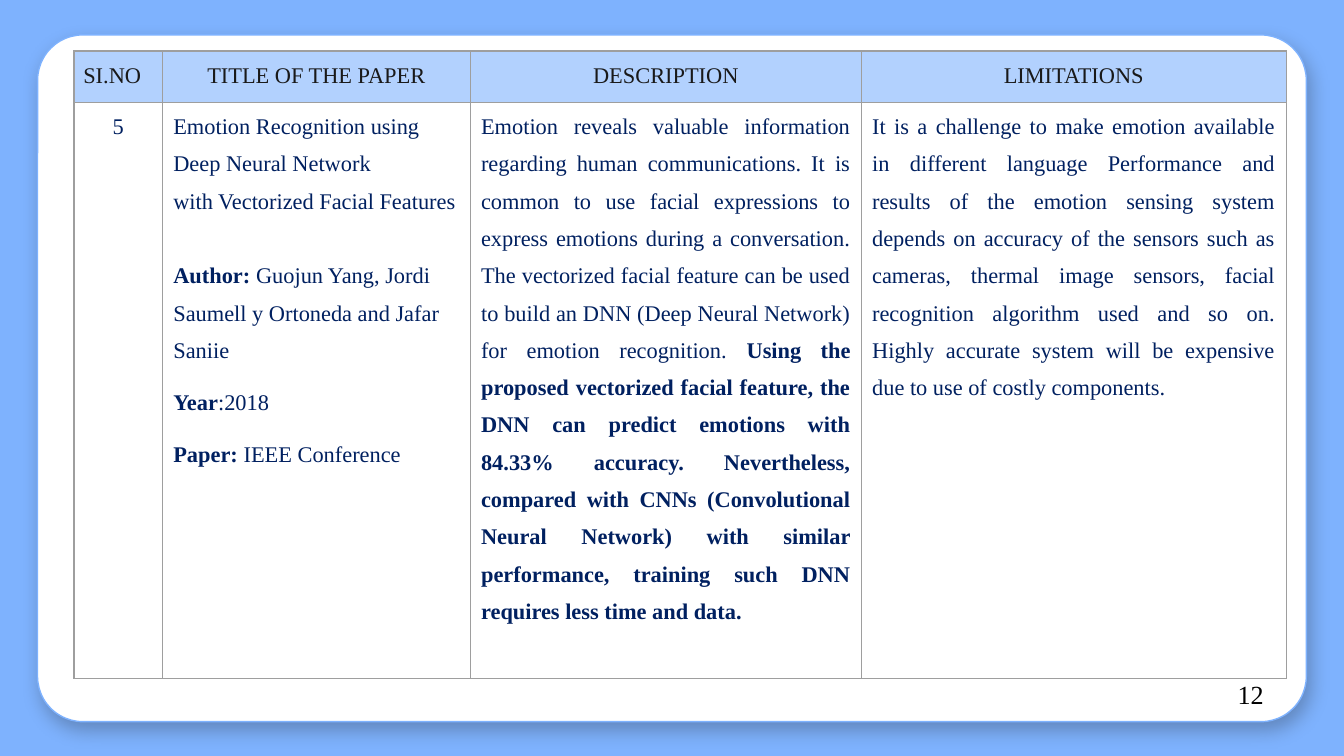
"""Build a literature survey slide with one paper in a four-column table."""
from lxml import etree
from pptx import Presentation
from pptx.dml.color import RGBColor
from pptx.enum.shapes import MSO_SHAPE
from pptx.enum.text import PP_ALIGN
from pptx.oxml import parse_xml
from pptx.oxml.ns import nsdecls, qn
from pptx.util import Inches, Pt


def color(hex_value):
    return RGBColor.from_string(hex_value)


def add_run(paragraph, text, size, hex_value, bold=False):
    run = paragraph.add_run()
    run.text = text
    run.font.name = "Times New Roman"
    run.font.size = Pt(size)
    run.font.bold = bold
    run.font.color.rgb = color(hex_value)


LEFT, CENTER, JUSTIFY = PP_ALIGN.LEFT, PP_ALIGN.CENTER, PP_ALIGN.JUSTIFY
BLUE, INK, NAVY, GRID = "7EB2FE", "191919", "002060", "9E9E9E"

headings = [
    ("SI.NO", JUSTIFY),
    ("TITLE OF THE PAPER", CENTER),
    ("DESCRIPTION", CENTER),
    ("LIMITATIONS", CENTER),
]
header_row = [[(align, 0, 8, [(text, False)])] for text, align in headings]

number = [(CENTER, 0, 8, [("5", False)])]
paper = [
    (LEFT, 0, 0, [("Emotion Recognition using Deep Neural Network", False)]),
    (LEFT, 0, 0, [("with Vectorized Facial Features", False)]),
    (LEFT, 20, 8, [("Author: ", True),
                   ("Guojun Yang, Jordi Saumell y Ortoneda and Jafar Saniie", False)]),
    (JUSTIFY, 0, 8, [("Year", True), (":2018", False)]),
    (JUSTIFY, 0, 8, [("Paper: ", True), ("IEEE Conference", False)]),
]
description = [(JUSTIFY, 0, 8, [
    ("Emotion reveals valuable information regarding human communications. "
     "It is common to use facial expressions to express emotions during a "
     "conversation. The vectorized facial feature can be used to build an DNN "
     "(Deep Neural Network) for emotion recognition. ", False),
    ("Using the proposed vectorized facial feature, the DNN can predict emotions "
     "with 84.33% accuracy. Nevertheless, compared with CNNs (Convolutional "
     "Neural Network) with similar performance, training such DNN requires less "
     "time and data.", True),
])]
limitations = [(JUSTIFY, 0, 8, [
    ("It is a challenge to make emotion available in different language "
     "Performance and results of the emotion sensing system depends on accuracy "
     "of the sensors such as cameras, thermal image sensors, facial recognition "
     "algorithm used and so on. Highly accurate system will be expensive due to "
     "use of costly components.", False),
])]
paper_row = [number, paper, description, limitations]

prs = Presentation()
prs.slide_width, prs.slide_height = Inches(10), Inches(10 * 9 / 16)
slide = prs.slides.add_slide(prs.slide_layouts[6])
slide.background.fill.solid()
slide.background.fill.fore_color.rgb = color(BLUE)

panel = slide.shapes.add_shape(
    MSO_SHAPE.ROUNDED_RECTANGLE, Inches(0.28), Inches(0.26), Inches(9.44), Inches(5.11))
panel.adjustments[0] = 0.066
panel.fill.solid()
panel.fill.fore_color.rgb = color("FFFFFF")
panel.line.color.rgb = color(BLUE)
panel.line.width = Pt(0.75)
panel.shadow.inherit = False
effects = panel.element.spPr.find(qn("a:effectLst"))
effects.append(parse_xml(
    f'<a:outerShdw {nsdecls("a")} blurRad="{Pt(10.1)}" dist="{Pt(4.5)}" '
    f'dir="{67 * 60000}" algn="ctr" rotWithShape="0"><a:srgbClr val="{INK}">'
    '<a:alpha val="27000"/></a:srgbClr></a:outerShdw>'))

survey = slide.shapes.add_table(
    2, 4, Inches(0.55), Inches(0.38), Inches(9.02), Inches(4.67)).table
survey.first_row = survey.horz_banding = False
for column, width in zip(survey.columns, [0.66, 2.29, 2.91, 3.16]):
    column.width = Inches(width)

row_styles = [
    (header_row, 0.38, "B2D1FE", INK, 0.07),
    (paper_row, 4.29, "FFFFFF", NAVY, 0.08),
]
for row, (contents, height, fill, ink, margin) in zip(survey.rows, row_styles):
    row.height = Inches(height)
    for cell, paragraphs in zip(row.cells, contents):
        cell.margin_left = cell.margin_right = Inches(margin)
        cell.margin_top = cell.margin_bottom = Inches(0)
        borders = cell._tc.get_or_add_tcPr()
        for side in ("lnL", "lnR", "lnT", "lnB"):
            border = etree.SubElement(borders, qn(f"a:{side}"), w=str(Pt(0.75)))
            stroke = etree.SubElement(border, qn("a:solidFill"))
            etree.SubElement(stroke, qn("a:srgbClr"), val=GRID)
        cell.fill.solid()
        cell.fill.fore_color.rgb = color(fill)
        for index, (align, before, after, runs) in enumerate(paragraphs):
            frame = cell.text_frame
            paragraph = frame.add_paragraph() if index else frame.paragraphs[0]
            paragraph.alignment = align
            paragraph.line_spacing = 1.5
            paragraph.space_before = Pt(before)
            paragraph.space_after = Pt(after)
            for text, bold in runs:
                add_run(paragraph, text, 12, ink, bold)

page_number = slide.shapes.add_textbox(Inches(9.11), Inches(5), Inches(0.66), Inches(0.34))
page_number.text_frame.word_wrap = True
add_run(page_number.text_frame.paragraphs[0], "12", 14, "000000")

prs.save("out.pptx")
